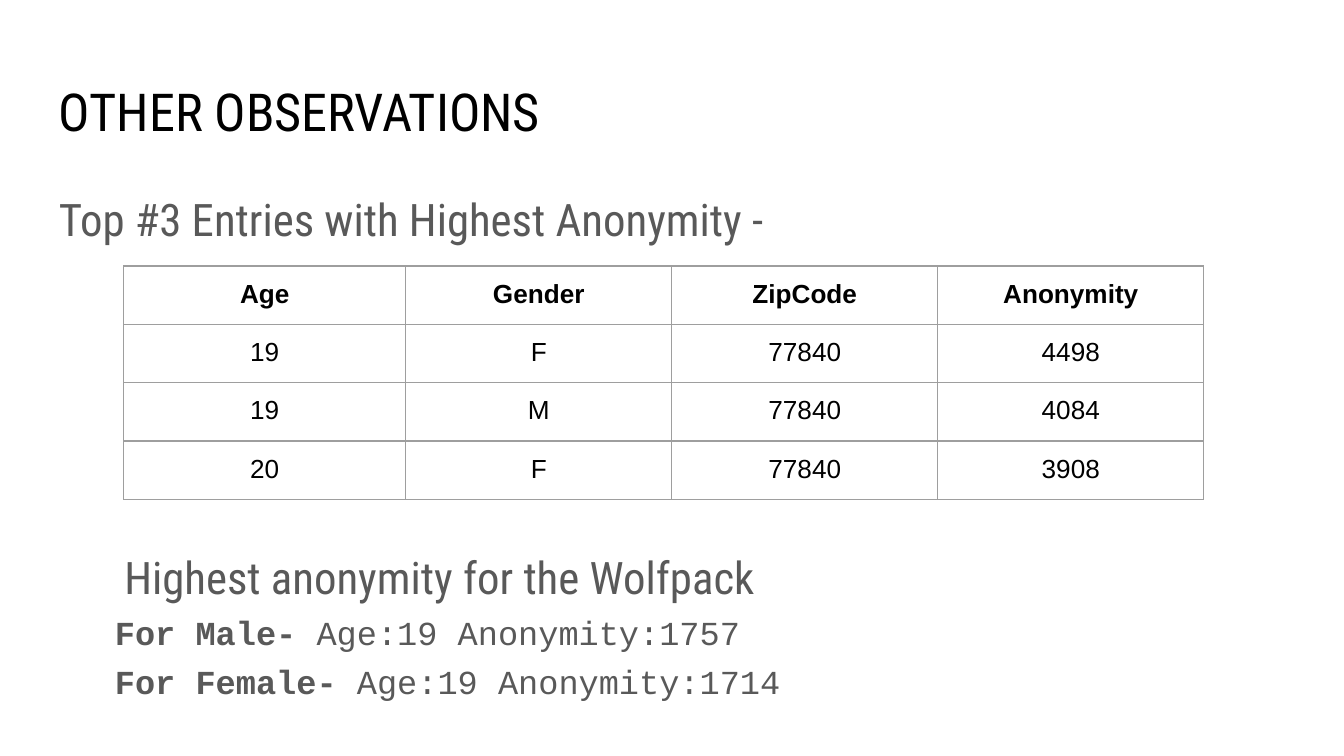
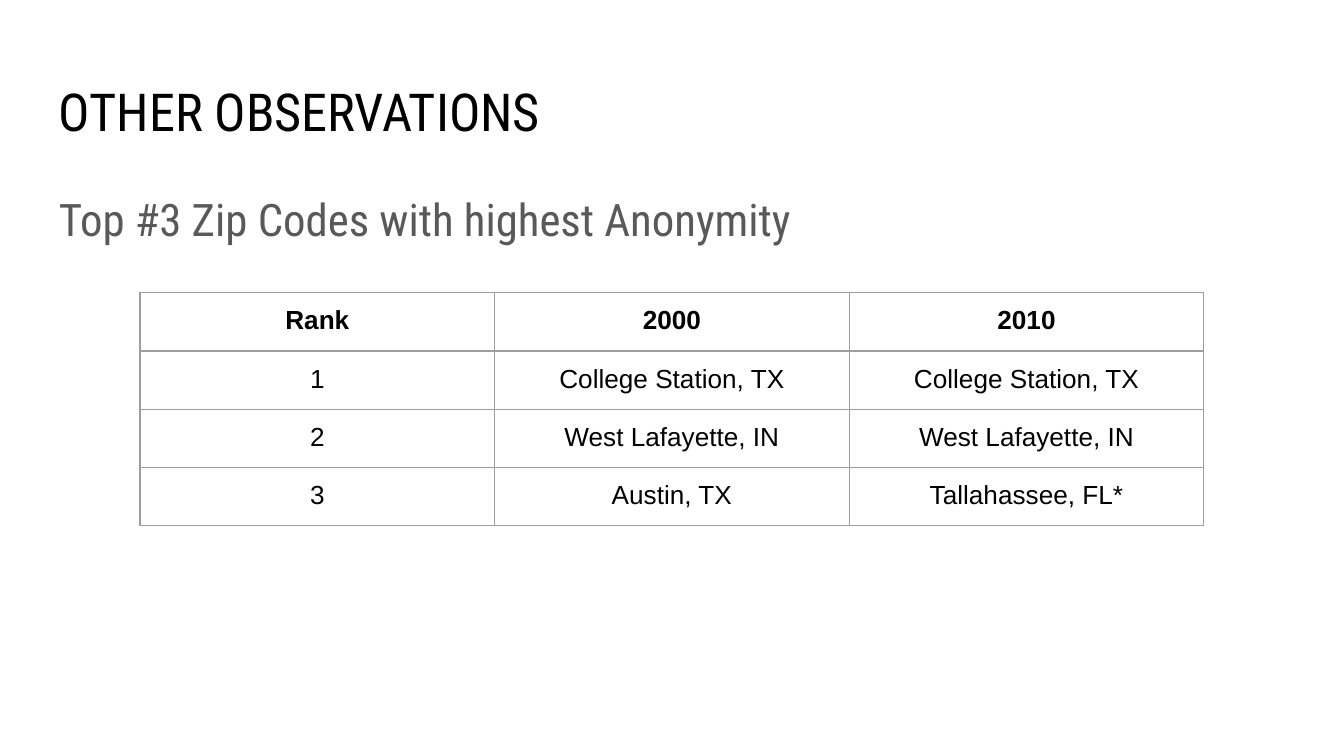
from dataclasses import dataclass

from lxml import etree
from pptx import Presentation
from pptx.dml.color import RGBColor
from pptx.enum.text import MSO_ANCHOR, PP_ALIGN
from pptx.oxml.ns import qn
from pptx.util import Pt

CENTER = PP_ALIGN.CENTER
TOP = MSO_ANCHOR.TOP
BLANK = 6


@dataclass(frozen=True)
class Theme:
    ink: str = "000000"
    gray: str = "595959"
    rule: str = "9E9E9E"
    head: str = "Roboto Condensed"
    mono: str = "Courier New"
    sans: str = "Arial"
    title: int = 28
    lead: int = 24
    note: int = 18
    cell: int = 14
    inset: float = 7.2
    line: float = 0.75
    lines: float = 1.15
    left: float = 24.5
    width: float = 671


THEME = Theme()
TITLE = dict(name=THEME.head, size=Pt(THEME.title), color=THEME.ink)
LEAD = dict(name=THEME.head, size=Pt(THEME.lead), color=THEME.gray)
NOTE = dict(name=THEME.mono, size=Pt(THEME.note), color=THEME.gray)
CELL = dict(name=THEME.sans, size=Pt(THEME.cell), color=THEME.ink)


def apply(item, values):
    for key, value in values.items():
        setattr(item, key, value)


def add_run(para, text, style, bold=False):
    run = para.add_run()
    run.text = text
    font = dict(style, bold=bold)
    run.font.color.rgb = RGBColor.from_string(font.pop("color"))
    apply(run.font, font)


def pad(item, names):
    apply(item, {name: Pt(THEME.inset) for name in names})


def add_box(slide, top, height):
    box = slide.shapes.add_textbox(
        Pt(THEME.left), Pt(top), Pt(THEME.width), Pt(height))
    frame = box.text_frame
    apply(frame, dict(word_wrap=True, vertical_anchor=TOP))
    pad(frame, ("margin_left", "margin_right", "margin_top", "margin_bottom"))
    return frame


def start_slide(deck, title, lead):
    """Add a slide with its title and lead line; return it and the body text."""
    slide = deck.slides.add_slide(deck.slide_layouts[BLANK])
    add_run(add_box(slide, 35, 45).paragraphs[0], title, TITLE)
    body = add_box(slide, 91, 269)
    para = body.paragraphs[0]
    para.line_spacing = THEME.lines
    add_run(para, lead, LEAD)
    return slide, body


def add_line(body, runs, style, indent, before):
    """Add an indented paragraph made of (text, bold) runs."""
    para = body.add_paragraph()
    apply(para, dict(line_spacing=THEME.lines, space_before=Pt(before)))
    para._p.get_or_add_pPr().set("marL", str(Pt(indent)))
    for text, bold in runs:
        add_run(para, text, style, bold)


def frame_cell(cell):
    props = cell._tc.get_or_add_tcPr()
    for index, side in enumerate(("a:lnL", "a:lnR", "a:lnT", "a:lnB")):
        line = etree.Element(qn(side), w=str(Pt(THEME.line)))
        fill = etree.SubElement(line, qn("a:solidFill"))
        etree.SubElement(fill, qn("a:srgbClr"), val=THEME.rule)
        props.insert(index, line)


def add_grid(slide, left, top, widths, rows, height=30):
    shape = slide.shapes.add_table(
        len(rows), len(widths), Pt(left), Pt(top),
        Pt(sum(widths)), Pt(height * len(rows)))
    table = shape.table
    apply(table, dict(first_row=False, horz_banding=False))
    for column, width in zip(table.columns, widths):
        column.width = Pt(width)
    for r, row in enumerate(rows):
        table.rows[r].height = Pt(height)
        for c, text in enumerate(row):
            cell = table.cell(r, c)
            pad(cell, ("margin_left", "margin_right",
                       "margin_top", "margin_bottom"))
            cell.fill.background()
            frame_cell(cell)
            para = cell.text_frame.paragraphs[0]
            para.alignment = CENTER
            add_run(para, text, CELL, bold=r == 0)


def add_entries(deck, title):
    slide, body = start_slide(
        deck, title, "Top #3 Entries with Highest Anonymity -")
    add_line(body, [("Highest anonymity for the Wolfpack", False)],
             LEAD, indent=35, before=159)
    for label, text in (("For Male- ", "Age:19 Anonymity:1757"),
                        ("For Female- ", "Age:19 Anonymity:1714")):
        add_line(body, [(label, True), (text, False)],
                 NOTE, indent=30, before=1.2)
    add_grid(slide, 66.25, 142.5, [151.2] + [142.5] * 3, [
        ("Age", "Gender", "ZipCode", "Anonymity"),
        ("19", "F", "77840", "4498"),
        ("19", "M", "77840", "4084"),
        ("20", "F", "77840", "3908"),
    ])


def add_zips(deck, title):
    slide, _ = start_slide(
        deck, title, "Top #3 Zip Codes with highest Anonymity")
    add_grid(slide, 75, 156.75, [190] * 3, [
        ("Rank", "2000", "2010"),
        ("1", "College Station, TX", "College Station, TX"),
        ("2", "West Lafayette, IN", "West Lafayette, IN"),
        ("3", "Austin, TX", "Tallahassee, FL*"),
    ])


def main():
    deck = Presentation()
    apply(deck, dict(slide_width=Pt(720), slide_height=Pt(405)))
    title = "OTHER OBSERVATIONS"
    add_entries(deck, title)
    add_zips(deck, title)
    deck.save("out.pptx")


if __name__ == "__main__":
    main()
